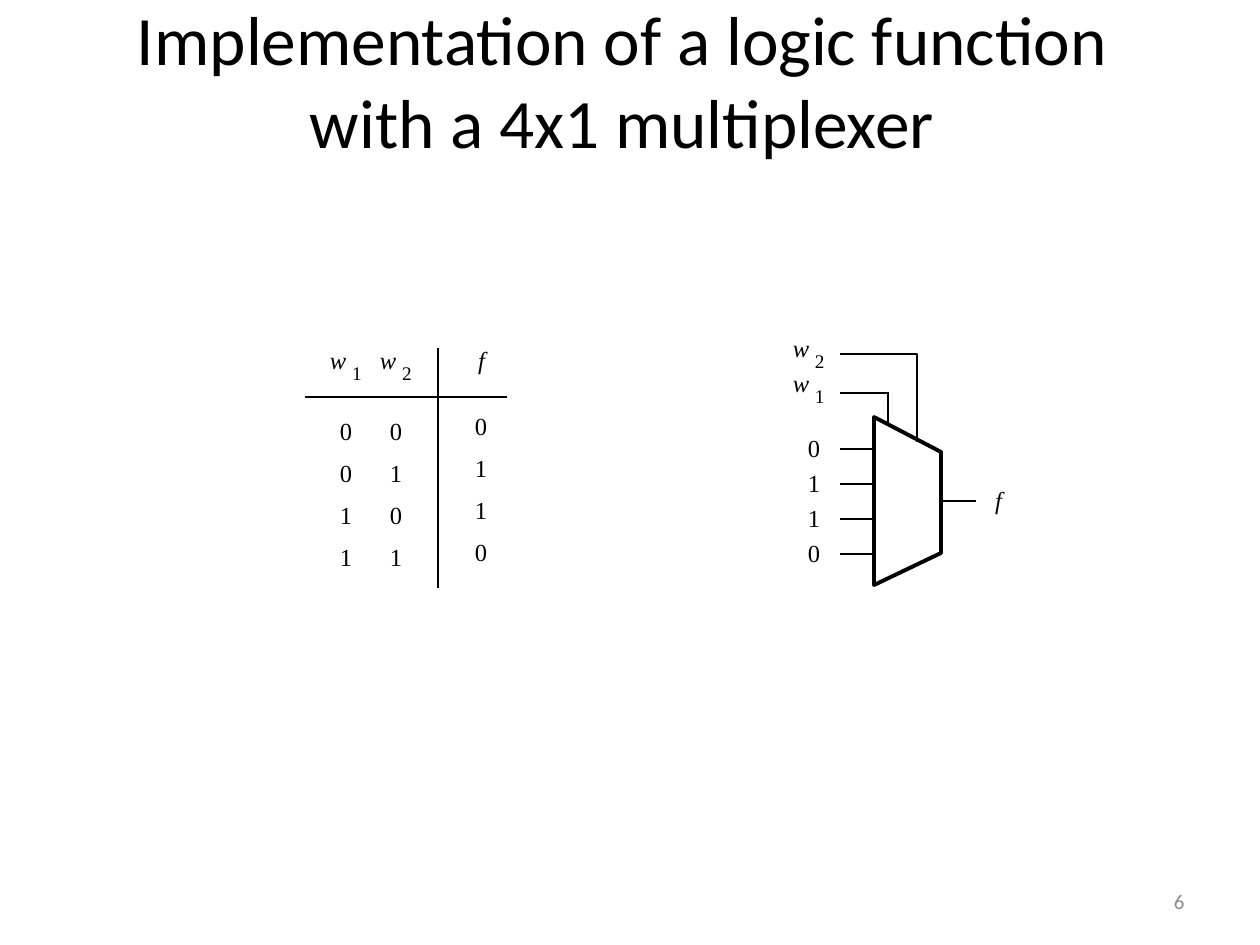
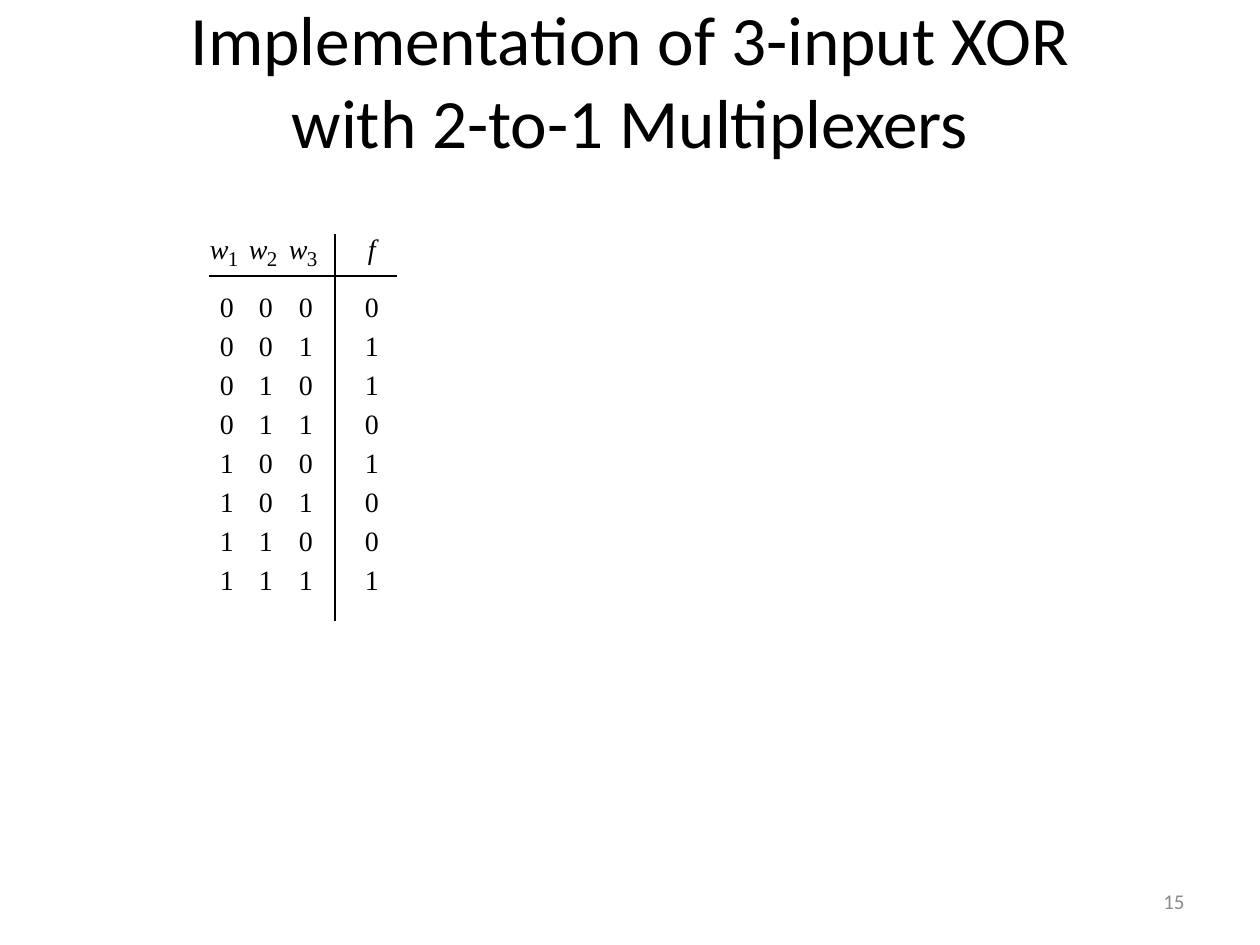
"""Build two slides on logic functions made with multiplexers."""
from dataclasses import dataclass
from itertools import product

from lxml import etree
from pptx import Presentation
from pptx.dml.color import RGBColor
from pptx.enum.shapes import MSO_CONNECTOR
from pptx.enum.text import MSO_ANCHOR, MSO_AUTO_SIZE, PP_ALIGN
from pptx.oxml.ns import qn
from pptx.util import Pt

STRAIGHT = MSO_CONNECTOR.STRAIGHT
MIDDLE = MSO_ANCHOR.MIDDLE
FIXED, GROW = MSO_AUTO_SIZE.NONE, MSO_AUTO_SIZE.SHAPE_TO_FIT_TEXT
CENTER, RIGHT = PP_ALIGN.CENTER, PP_ALIGN.RIGHT
SCALE = 914400 / 126
POINT = 126 / 72
TITLE_ONLY = 5
ADVANCE = {"w": 0.67, "f": 0.28}


@dataclass(frozen=True)
class Style:
    """Type sizes and offsets of one figure."""
    size: int
    small: int
    shift: int
    drop: int
    pad: int
    tall: float
    line: float


@dataclass(frozen=True)
class Theme:
    """Colours, fonts and sizes that the slides share."""
    ink: RGBColor = RGBColor(0, 0, 0)
    grey: RGBColor = RGBColor(0x8C, 0x8C, 0x8C)
    sans: str = "Calibri"
    serif: str = "Times New Roman"
    title: float = 39.6
    foot: int = 12
    body: float = 2.25
    bold: Style = Style(14, 11, 22, 16, 6, 1.18, 1.5)
    fine: Style = Style(16, 12, 18, 14, 13, 1.35, 0.75)


THEME = Theme()


def emu(*sizes):
    """Turn pixels into EMU."""
    return [round(size * SCALE) for size in sizes]


def add_run(para, text, size, face, color=THEME.ink, slant=False):
    """Add one formatted run."""
    run = para.add_run()
    run.text = text
    font = run.font
    font.size, font.name, font.italic = Pt(size), face, slant
    font.color.rgb = color


def add_page(deck, lines, number):
    """Add a slide with its title and page number."""
    slide = deck.slides.add_slide(deck.slide_layouts[TITLE_ONLY])
    title = slide.shapes.title
    title.left, title.top, title.width, title.height = emu(0, 0, 1260, 158)
    frame = title.text_frame
    frame.auto_size, frame.vertical_anchor = FIXED, MIDDLE
    para = frame.paragraphs[0]
    para.alignment = CENTER
    for index, line in enumerate(lines):
        if index:
            para.add_line_break()
        add_run(para, line, THEME.title, THEME.sans)
    foot = slide.shapes.add_textbox(*emu(903, 876, 294, 50)).text_frame
    foot.word_wrap, foot.vertical_anchor = True, MIDDLE
    para = foot.paragraphs[0]
    para.alignment = RIGHT
    add_run(para, str(number), THEME.foot, THEME.sans, THEME.grey)
    return slide


def add_label(slide, x, y, text, size, style):
    """Add a letter or digit, with letters in italics."""
    em = size * POINT
    width = ADVANCE.get(text, 0.5) * em + style.pad
    box = slide.shapes.add_textbox(*emu(x, y, width, style.tall * em))
    frame = box.text_frame
    frame.margin_left = frame.margin_right = 0
    frame.margin_top = frame.margin_bottom = 0
    frame.word_wrap, frame.auto_size = False, GROW
    add_run(frame.paragraphs[0], text, size, THEME.serif, slant=text.isalpha())


def add_input(slide, x, y, index, style):
    """Add a w with its index below the line."""
    add_label(slide, x, y, "w", style.size, style)
    add_label(slide, x + style.shift, y + style.drop, str(index),
              style.small, style)


def add_stack(slide, x, top, step, digits, style):
    """Add digits at equal steps down a column."""
    for row, digit in enumerate(digits):
        add_label(slide, x, top + row * step, str(digit), style.size, style)


def add_wire(slide, start, end, width):
    """Add a straight line without a shadow."""
    wire = slide.shapes.add_connector(STRAIGHT, *emu(*start, *end))
    wire.line.color.rgb, wire.line.width = THEME.ink, Pt(width)
    etree.SubElement(wire._element.spPr, qn("a:effectLst"))


def add_path(slide, points, width, close):
    """Add an unfilled outline through the points."""
    build = slide.shapes.build_freeform(*points[0], scale=SCALE)
    build.add_line_segments(points[1:], close=close)
    shape = build.convert_to_shape()
    shape.shadow.inherit = False
    shape.fill.background()
    shape.line.color.rgb, shape.line.width = THEME.ink, Pt(width)


def add_truth(slide, lefts, head, top, step, result, values, style):
    """Add a truth table of labels in a grid."""
    rows = product((0, 1), repeat=len(lefts))
    for index, (x, digits) in enumerate(zip(lefts, zip(*rows)), 1):
        add_input(slide, x, head, index, style)
        add_stack(slide, x + 10, top, step, digits, style)
    x, y = result
    add_label(slide, x + 3, head, "f", style.size, style)
    add_stack(slide, x, y, step, values, style)


def add_mux(slide, values, style):
    """Add a multiplexer with select, data and output wires."""
    add_path(slide, [(941, 553), (941, 452), (874, 417), (874, 585)],
             THEME.body, True)
    add_path(slide, [(840, 354), (917, 354), (917, 442)], style.line, False)
    add_wire(slide, (840, 393), (889, 393), style.line)
    add_wire(slide, (888, 392), (888, 423), style.line)
    add_wire(slide, (976, 501), (941, 501), style.line)
    for index, y in ((2, 333), (1, 368)):
        add_input(slide, 793, y, index, style)
    step = 35
    add_stack(slide, 808, 433, step, values, style)
    for row in range(len(values)):
        y = 449 + row * step
        add_wire(slide, (840, y), (872, y), style.line)
    add_label(slide, 995, 485, "f", style.size, style)


def main():
    """Build and save the deck."""
    deck = Presentation()
    deck.slide_width, deck.slide_height = emu(1260, 945)

    slide = add_page(deck, ["Implementation of a logic function ",
                            "with a 4x1 multiplexer "], 6)
    style, values = THEME.bold, (0, 1, 1, 0)
    add_truth(slide, (330, 380), 345, 416, 42, (475, 411), values, style)
    add_wire(slide, (438, 588), (438, 348), style.line)
    add_wire(slide, (507, 397), (305, 397), style.line)
    add_mux(slide, values, style)

    slide = add_page(deck, ["Implementation of 3-input XOR",
                            "with 2-to-1 Multiplexers"], 15)
    style = THEME.fine
    values = [sum(bits) % 2 for bits in product((0, 1), repeat=3)]
    add_truth(slide, (210, 249, 289), 232, 290, 39, (365, 290), values, style)
    add_wire(slide, (335, 621), (335, 234), style.line)
    add_wire(slide, (397, 276), (209, 276), style.line)

    deck.save("out.pptx")


main()
